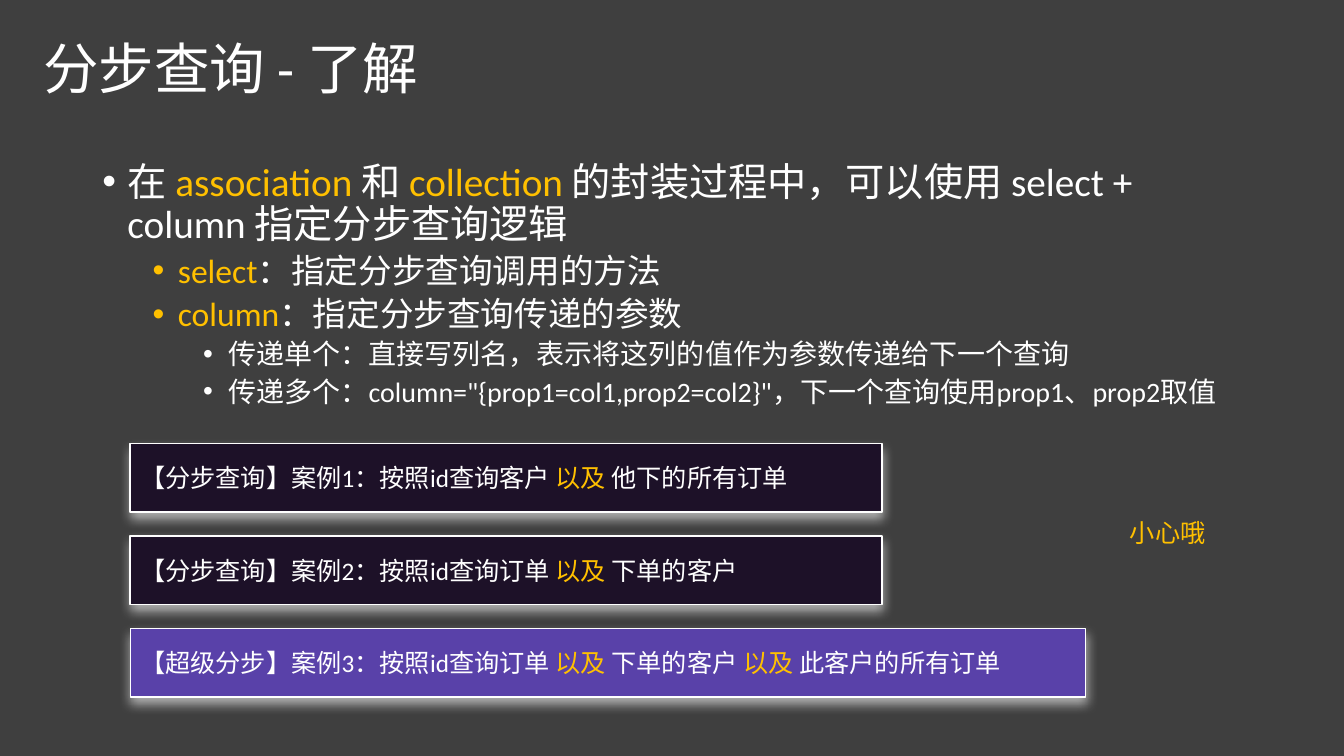
from lxml.etree import SubElement
from pptx import Presentation
from pptx.dml.color import RGBColor
from pptx.enum.shapes import MSO_SHAPE
from pptx.enum.text import MSO_ANCHOR, PP_ALIGN
from pptx.oxml import parse_xml
from pptx.oxml.ns import nsdecls, qn
from pptx.util import Pt

WHITE, GOLD = "FFFFFF", "FFC000"
DARK, PURPLE = "1D1128", "5941A9"


def rgb(value):
    return RGBColor.from_string(value)


def write(p, text, size, colour=WHITE, indent=None, line=1.0, before=0):
    """Fill a paragraph; text between bars is gold, and an indent adds a bullet."""
    pPr = p._p.get_or_add_pPr()
    if indent is not None:
        pPr.set("marL", str(Pt(indent)))
        pPr.set("indent", str(Pt(-18)))
        SubElement(pPr, qn("a:buFont")).set("typeface", "Arial")
        SubElement(pPr, qn("a:buChar")).set("char", "•")
    p.alignment = PP_ALIGN.LEFT
    p.line_spacing = line
    p.space_before = Pt(before)
    for i, part in enumerate(text.split("|")):
        if part:
            r = p.add_run()
            r.text = part
            r.font.name = "Calibri"
            r.font.size = Pt(size)
            r.font.color.rgb = rgb(GOLD if i % 2 else colour)


prs = Presentation()
prs.slide_width, prs.slide_height = Pt(960), Pt(540)
s = prs.slides.add_slide(prs.slide_layouts[6])
s.background.fill.solid()
s.background.fill.fore_color.rgb = rgb("3F3F3F")

# Title
tf = s.shapes.add_textbox(Pt(24), Pt(25), Pt(576), Pt(52.6)).text_frame
tf.word_wrap = True
tf.vertical_anchor = MSO_ANCHOR.MIDDLE
write(tf.paragraphs[0], "分步查询 - 了解", 39.6, line=0.9)

# Bullet list
bullets = [
    (0, "在 |association |和 |collection |的封装过程中，可以使用 select + column 指定分步查询逻辑"),
    (1, "|select|：指定分步查询调用的方法"),
    (1, "|column|：指定分步查询传递的参数"),
    (2, "传递单个：直接写列名，表示将这列的值作为参数传递给下一个查询"),
    (2, '传递多个：column="{prop1=col1,prop2=col2}"，下一个查询使用prop1、prop2取值'),
]
tf = s.shapes.add_textbox(Pt(66), Pt(112.5), Pt(828), Pt(342.7)).text_frame
tf.word_wrap = True
for i, (level, text) in enumerate(bullets):
    p = tf.add_paragraph() if i else tf.paragraphs[0]
    p.level = level
    write(p, text, 28 - 4 * level, indent=18 + 36 * level, line=0.9, before=5 if i else 0)

# Case boxes
cases = [
    (537, DARK, "【分步查询】案例1：按照id查询客户 |以及 |他下的所有订单"),
    (537, DARK, "【分步查询】案例2：按照id查询订单 |以及 |下单的客户"),
    (682.5, PURPLE, "【超级分步】案例3：按照id查询订单 |以及 |下单的客户 |以及 |此客户的所有订单"),
]
for i, (width, fill, text) in enumerate(cases):
    sp = s.shapes.add_shape(MSO_SHAPE.RECTANGLE, Pt(93), Pt(316.8 + 66 * i), Pt(width), Pt(49))
    sp.fill.solid()
    sp.fill.fore_color.rgb = rgb(fill)
    sp.line.color.rgb = rgb(WHITE)
    sp.line.width = Pt(1)
    sp.shadow.inherit = False
    sp._element.spPr.find(qn("a:effectLst")).append(parse_xml(
        f'<a:outerShdw {nsdecls("a")} blurRad="{Pt(8)}" dist="{Pt(4)}" dir="5400000" '
        f'algn="ctr" rotWithShape="0"><a:srgbClr val="{WHITE}"><a:alpha val="60000"/>'
        '</a:srgbClr></a:outerShdw>'))
    tf = sp.text_frame
    tf.word_wrap = True
    tf.vertical_anchor = MSO_ANCHOR.MIDDLE
    write(tf.paragraphs[0], text, 18)

# Warning
tf = s.shapes.add_textbox(Pt(800), Pt(366), Pt(69), Pt(29)).text_frame
tf.word_wrap = False
write(tf.paragraphs[0], "小心哦", 18, colour=GOLD)

prs.save("out.pptx")
